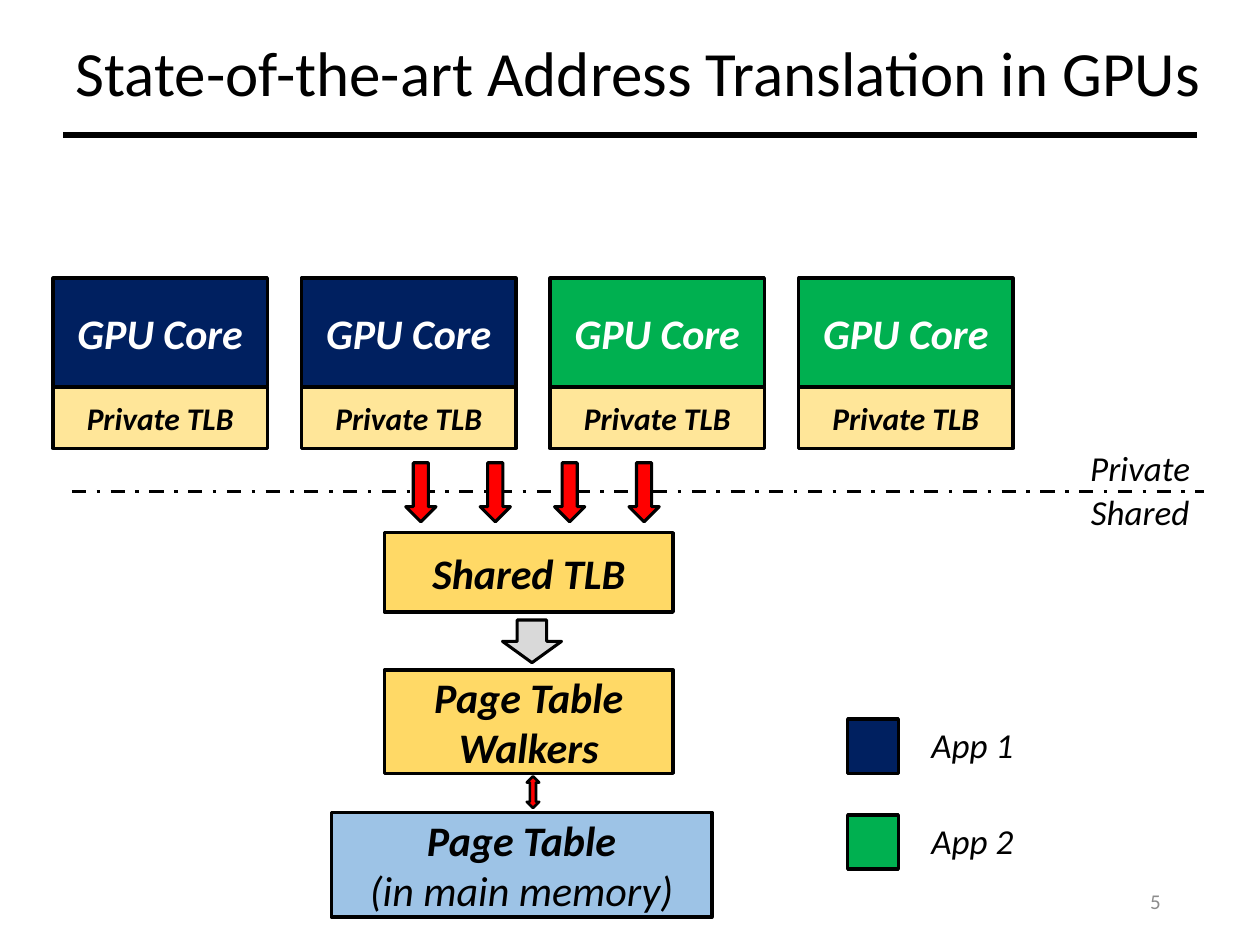
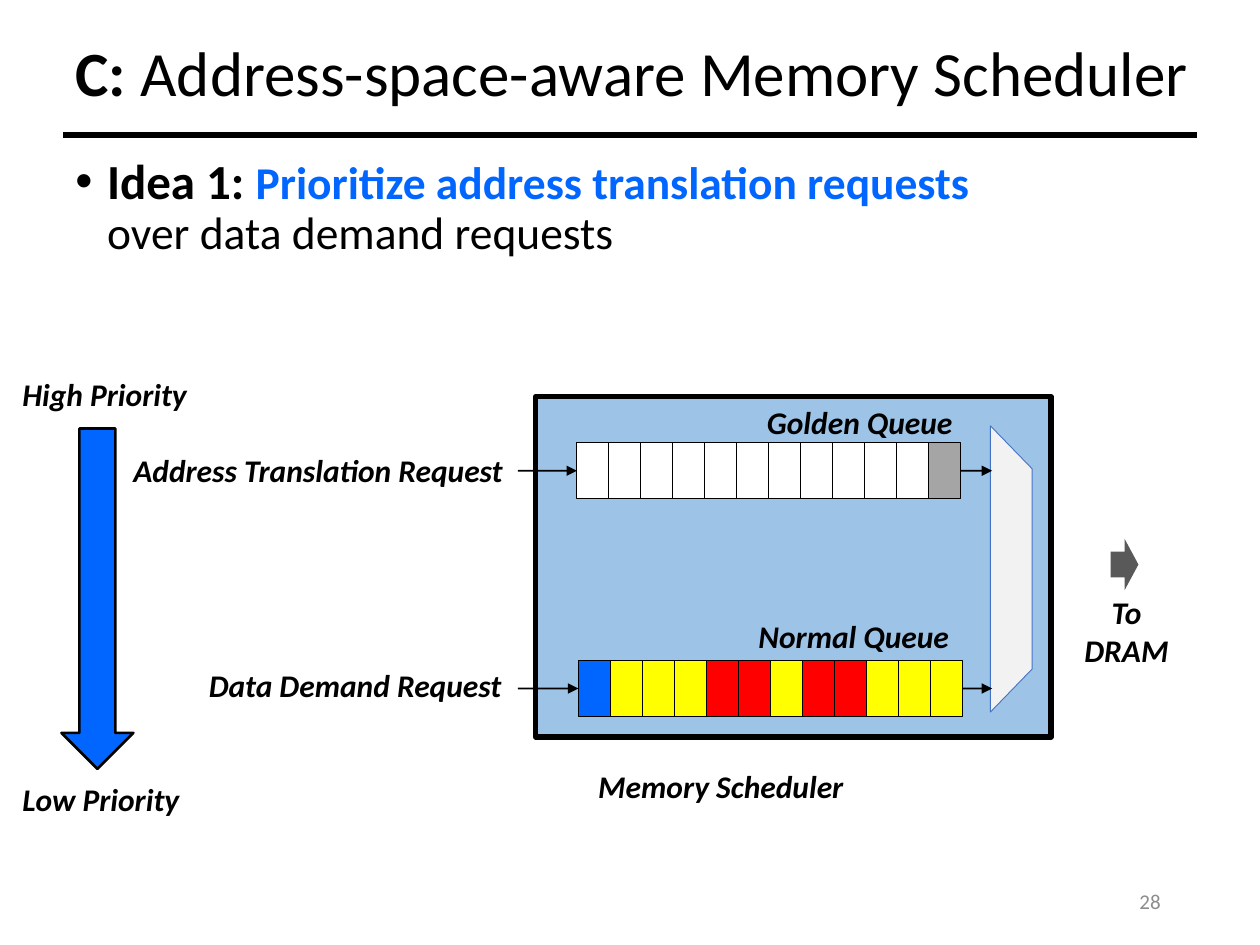
from dataclasses import dataclass

from pptx import Presentation
from pptx.dml.color import RGBColor
from pptx.enum.dml import MSO_LINE
from pptx.enum.shapes import MSO_CONNECTOR, MSO_SHAPE
from pptx.enum.text import MSO_ANCHOR, MSO_AUTO_SIZE, PP_ALIGN
from pptx.oxml.ns import qn
from pptx.util import Cm, Pt
from lxml.etree import SubElement


@dataclass(frozen=True)
class Theme:
    font: str = "Calibri"
    # Colours
    black: str = "000000"
    white: str = "FFFFFF"
    page_grey: str = "8C8C8C"
    navy: str = "002060"
    green: str = "00B050"
    cream: str = "FFE699"
    gold: str = "FFD966"
    sky: str = "9DC3E6"
    blue: str = "0066FF"
    red: str = "FF0000"
    yellow: str = "FFFF00"
    pale_grey: str = "F2F2F2"
    light_grey: str = "D9D9D9"
    mid_grey: str = "A5A5A5"
    dark_grey: str = "595959"
    outline_blue: str = "4472C4"
    # Type sizes
    title: int = 36
    idea: int = 28
    statement: int = 26
    box: int = 24
    legend: int = 20
    label: int = 18
    page: int = 12


THEME = Theme()


def write_text(frame, text, *, size, color=THEME.black, bold=False, italic=False,
               align=PP_ALIGN.LEFT, anchor=MSO_ANCHOR.MIDDLE, wrap=True,
               spacing=None, bullet=False):
    """Write a string, or a list of paragraphs made of (text, overrides) runs."""
    frame.word_wrap = wrap
    frame.auto_size = MSO_AUTO_SIZE.NONE
    frame.vertical_anchor = anchor
    paragraphs = [[(text, {})]] if isinstance(text, str) else text
    for index, runs in enumerate(paragraphs):
        paragraph = frame.add_paragraph() if index else frame.paragraphs[0]
        paragraph.alignment = align
        paragraph.line_spacing = spacing
        if bullet:
            properties = paragraph._p.get_or_add_pPr()
            properties.set("marL", str(Cm(0.64)))
            properties.set("indent", str(-Cm(0.64)))
            SubElement(properties, qn("a:buFont"), typeface="Arial")
            SubElement(properties, qn("a:buChar"), char="•")
        for words, overrides in runs:
            style = {"size": size, "color": color, "bold": bold, "italic": italic}
            style.update(overrides)
            for line_index, line in enumerate(words.split("\n")):
                if line_index:
                    paragraph.add_line_break()
                if not line:
                    continue
                run = paragraph.add_run()
                run.text = line
                run.font.name = THEME.font
                run.font.size = Pt(style["size"])
                run.font.bold = style["bold"]
                run.font.italic = style["italic"]
                run.font.color.rgb = RGBColor.from_string(style["color"])


class SlideBuilder:
    def __init__(self, presentation, theme):
        self.presentation = presentation
        self.theme = theme
        self.slide = None

    def start(self, title, page_number):
        """Add a slide with its title, rule and page number."""
        self.slide = self.presentation.slides.add_slide(self.presentation.slide_layouts[5])
        heading = self.slide.shapes.title
        heading.left, heading.top = Cm(1.27), Cm(0.36)
        heading.width, heading.height = Cm(24.13), Cm(2.36)
        write_text(heading.text_frame, title, size=self.theme.title, spacing=0.9)
        self.line(1.27, 2.72, 24.13, 2.72, weight=3)
        self.text(page_number, 17.93, 17.65, 5.72, 1.02, size=self.theme.page,
                  color=self.theme.page_grey, align=PP_ALIGN.RIGHT)

    def shape(self, kind, left, top, width, height, fill, outline=THEME.black,
              weight=2, rotation=0):
        shape = self.slide.shapes.add_shape(kind, Cm(left), Cm(top), Cm(width), Cm(height))
        shape.shadow.inherit = False
        shape.rotation = rotation
        shape.fill.solid()
        shape.fill.fore_color.rgb = RGBColor.from_string(fill)
        if outline:
            shape.line.color.rgb = RGBColor.from_string(outline)
            shape.line.width = Pt(weight)
        else:
            shape.line.fill.background()
        return shape

    def box(self, text, left, top, width, height, fill, **text_format):
        """Rectangle with centred bold italic text."""
        shape = self.shape(MSO_SHAPE.RECTANGLE, left, top, width, height, fill)
        settings = {"size": self.theme.box, "bold": True, "italic": True,
                    "align": PP_ALIGN.CENTER, **text_format}
        write_text(shape.text_frame, text, **settings)
        return shape

    def text(self, text, left, top, width, height, **text_format):
        shape = self.slide.shapes.add_textbox(Cm(left), Cm(top), Cm(width), Cm(height))
        write_text(shape.text_frame, text, **text_format)

    def label(self, text, left, top, width, height=1.02, **text_format):
        """Bold italic caption."""
        settings = {"size": self.theme.label, "bold": True, "italic": True,
                    "wrap": False, "anchor": MSO_ANCHOR.TOP, **text_format}
        self.text(text, left, top, width, height, **settings)

    def legend_text(self, text, left, top):
        self.text(text, left, top, 4.47, 1.63, size=self.theme.legend,
                  italic=True, align=PP_ALIGN.CENTER)

    def line(self, left, top, right, bottom, weight, dash=None, arrow=False):
        connector = self.slide.shapes.add_connector(
            MSO_CONNECTOR.STRAIGHT, Cm(left), Cm(top), Cm(right), Cm(bottom))
        connector.line.color.rgb = RGBColor.from_string(self.theme.black)
        connector.line.width = Pt(weight)
        if dash:
            connector.line.dash_style = dash
        properties = connector.element.spPr
        if arrow:
            SubElement(properties.find(qn("a:ln")), qn("a:tailEnd"), type="triangle")
        SubElement(properties, qn("a:effectLst"))
        return connector

    def queue(self, left, top, colors):
        """Row of equal cells with an arrow in and an arrow out."""
        pitch, height = 7.74 / 12, 1.14
        middle = top + height / 2
        cells = [self.shape(MSO_SHAPE.RECTANGLE, left + index * pitch, top, pitch,
                            height, color, weight=0.5)
                 for index, color in enumerate(colors)]
        request = self.line(10.44, middle, left, middle, 1, arrow=True)
        request.end_connect(cells[0], 1)
        output = self.line(left + 12 * pitch, middle, 20, middle, 1, arrow=True)
        output.begin_connect(cells[-1], 3)


def build_translation_slide(builder):
    theme = builder.theme
    builder.start("State-of-the-art Address Translation in GPUs", "5")

    # Cores with their private TLBs
    for index, color in enumerate((theme.navy, theme.navy, theme.green, theme.green)):
        left = 1.07 + index * 5.01
        builder.box("GPU Core", left, 5.61, 4.32, 2.18, color, color=theme.white)
        builder.box("Private TLB", left, 7.8, 4.32, 1.24, theme.cream, size=theme.label)

    # Shared structures
    builder.box("Shared TLB", 7.75, 10.74, 5.82, 1.6, theme.gold)
    builder.box("Page Table Walkers", 7.75, 13.51, 5.82, 2.08, theme.gold)
    builder.box([[("Page Table", {})], [("(in main memory)", {"bold": False})]],
                6.68, 16.38, 7.67, 2.11, theme.sky)

    # Border between private and shared, and the flow across it
    builder.line(1.45, 9.91, 24.28, 9.91, weight=2, dash=MSO_LINE.DASH_DOT)
    for index in range(4):
        builder.shape(MSO_SHAPE.DOWN_ARROW, 8.18 + index * 1.5, 9.33, 0.61, 1.19,
                      theme.red, weight=1.75)
    builder.shape(MSO_SHAPE.DOWN_ARROW, 10.13, 12.5, 1.19, 0.86,
                  theme.light_grey, weight=1.75)
    builder.shape(MSO_SHAPE.UP_DOWN_ARROW, 10.62, 15.65, 0.25, 0.64,
                  theme.red, weight=1.5)
    builder.legend_text("Private", 20.75, 8.61)
    builder.legend_text("Shared", 20.75, 9.5)

    # Legend
    for name, color, top in (("App 1", theme.navy, 14.5), ("App 2", theme.green, 16.43)):
        builder.shape(MSO_SHAPE.RECTANGLE, 17.09, top, 1.02, 1.09, color)
        builder.legend_text(name, 17.37, top - 0.3)


def build_scheduler_slide(builder):
    theme = builder.theme
    builder.start([[("C: ", {"bold": True}),
                    ("Address-space-aware Memory Scheduler", {})]], "28")
    builder.text([[("Idea 1: ", {"size": theme.idea, "bold": True}),
                   ("Prioritize address translation requests\n",
                    {"color": theme.blue, "bold": True}),
                   ("over data demand requests", {})]],
                 1.27, 3.05, 23.5, 2.6, size=theme.statement,
                 anchor=MSO_ANCHOR.TOP, spacing=0.9, bullet=True)

    # Scheduler and its output
    builder.shape(MSO_SHAPE.RECTANGLE, 10.8, 8, 10.39, 6.86, theme.sky, weight=3)
    builder.shape(MSO_SHAPE.DOWN_ARROW, 22.15, 11.1, 1.04, 0.56, theme.dark_grey,
                  outline=None, rotation=270)
    builder.label([[("To", {})], [("DRAM", {})]], 21.21, 11.84, 3, 1.47,
                  align=PP_ALIGN.CENTER, wrap=True)
    selector = builder.shape(MSO_SHAPE.TRAPEZOID, 17.5, 11.05, 5.77, 0.84, theme.pale_grey,
                             outline=theme.outline_blue, weight=0.5, rotation=90)
    selector.adjustments[0] = 1.03
    builder.label("Memory Scheduler", 11.81, 15.34, 5.66)

    # Queues
    blue, red, yellow = theme.blue, theme.red, theme.yellow
    builder.queue(11.63, 8.92, [theme.white] * 11 + [theme.mid_grey])
    builder.queue(11.66, 13.31, [blue] + [yellow] * 3 + [red] * 2 + [yellow]
                  + [red] * 2 + [yellow] * 3)
    builder.label("Golden Queue", 15.21, 8, 4.29)
    builder.label("Normal Queue", 15.04, 12.32, 4.39)
    builder.label("Address Translation Request", 2.44, 8.97, 8.05)
    builder.label("Data Demand Request", 3.96, 13.31, 6.48)

    # Priority scale
    builder.shape(MSO_SHAPE.DOWN_ARROW, 1.24, 8.64, 1.45, 6.86, blue, weight=1.5)
    builder.label("High Priority", 0.2, 7.44, 3.86)
    builder.label("Low Priority", 0.2, 15.6, 3.71)


def main():
    presentation = Presentation()
    presentation.slide_width, presentation.slide_height = Cm(25.4), Cm(19.05)
    builder = SlideBuilder(presentation, THEME)
    build_translation_slide(builder)
    build_scheduler_slide(builder)
    presentation.save("out.pptx")


if __name__ == "__main__":
    main()
